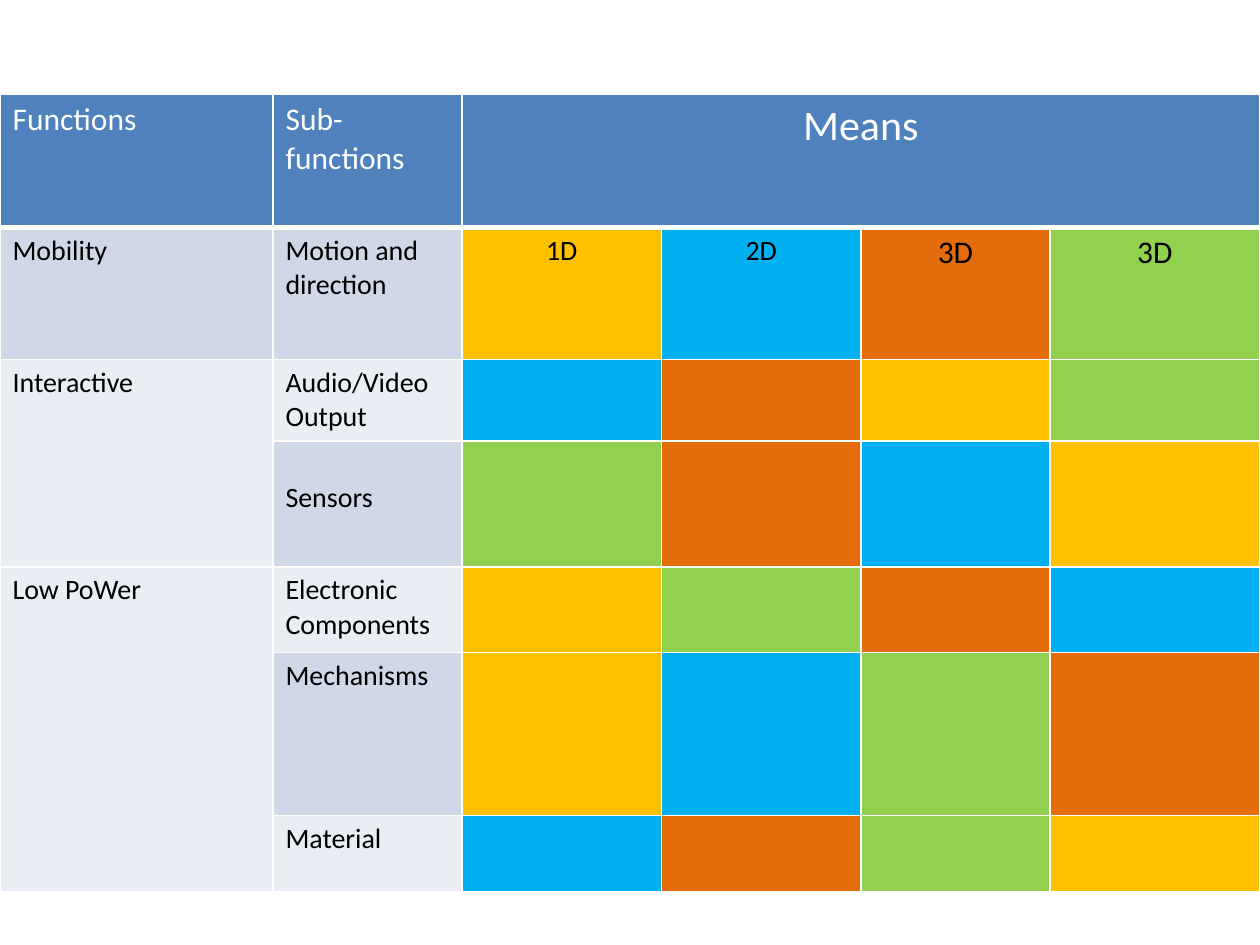
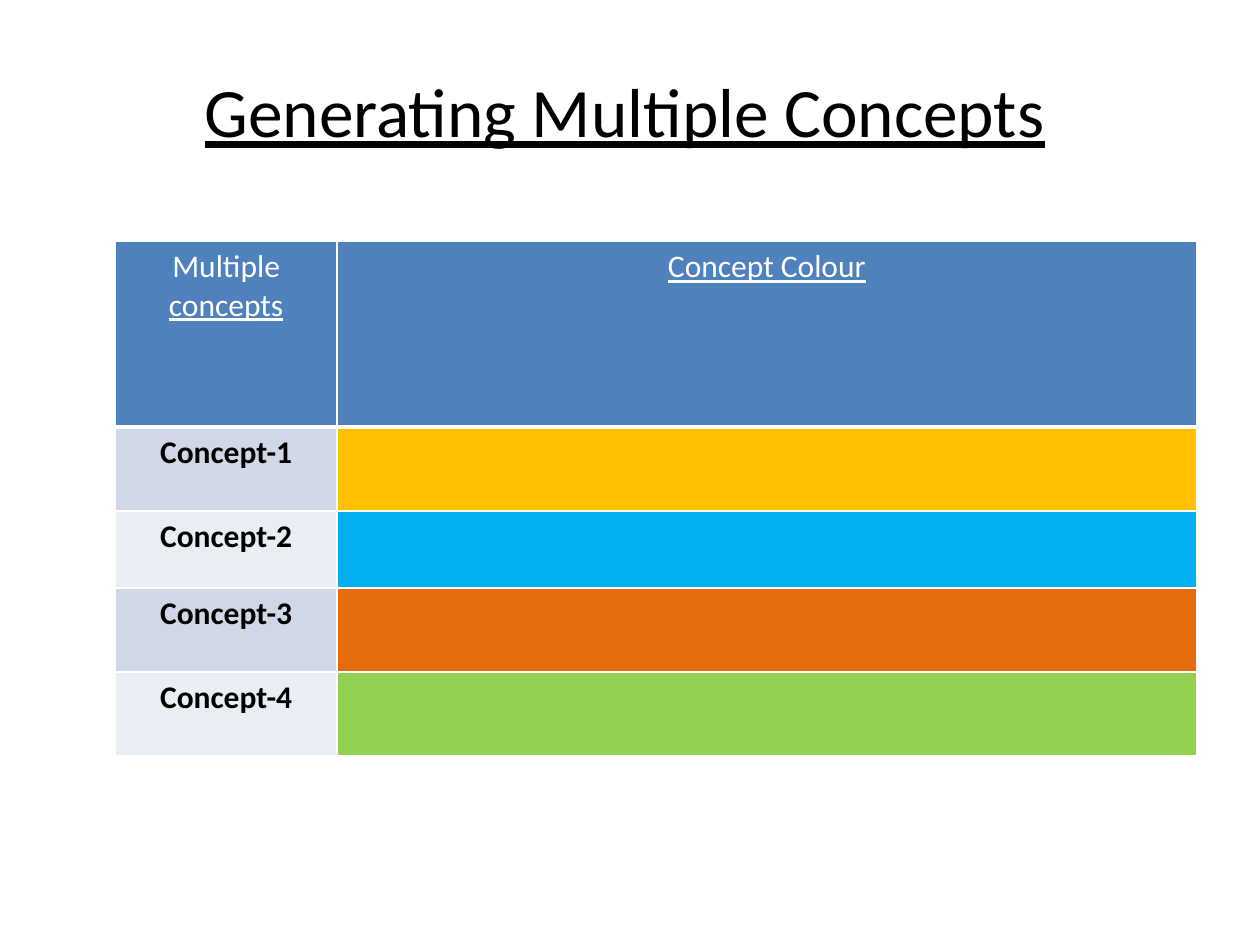
from lxml.etree import SubElement
from pptx import Presentation
from pptx.dml.color import RGBColor
from pptx.enum.text import MSO_ANCHOR, PP_ALIGN
from pptx.oxml.ns import qn
from pptx.util import Pt

FONT = "Calibri"
WHITE = RGBColor(0xFF, 0xFF, 0xFF)
BLACK = RGBColor(0x00, 0x00, 0x00)
HEADER = RGBColor(0x4F, 0x81, 0xBD)
BANDS = [RGBColor(0xE9, 0xED, 0xF4), RGBColor(0xD0, 0xD8, 0xE8)]
YELLOW = RGBColor(0xFF, 0xC0, 0x00)
BLUE = RGBColor(0x00, 0xB0, 0xF0)
ORANGE = RGBColor(0xE4, 0x6C, 0x0A)
GREEN = RGBColor(0x92, 0xD0, 0x50)
CONCEPT_COLOURS = [YELLOW, BLUE, ORANGE, GREEN]


def add_text(text_frame, text, size=18, colour=BLACK, bold=False,
             underline=False, align=PP_ALIGN.LEFT):
    paragraph = text_frame.paragraphs[0]
    paragraph.alignment = align
    run = paragraph.add_run()
    run.text = text
    run.font.name = FONT
    run.font.size = Pt(size)
    run.font.color.rgb = colour
    run.font.bold = bold
    run.font.underline = underline


def add_banded_table(slide, left, top, widths, heights):
    """Add a table with a blue header, banded rows and white borders."""
    shape = slide.shapes.add_table(len(heights), len(widths), Pt(left), Pt(top),
                                   Pt(sum(widths)), Pt(sum(heights)))
    table = shape.table
    for column, width in zip(table.columns, widths):
        column.width = Pt(width)
    for row_index, (row, height) in enumerate(zip(table.rows, heights)):
        row.height = Pt(height)
        for cell in row.cells:
            properties = cell._tc.get_or_add_tcPr()
            for side in ("lnL", "lnR", "lnT", "lnB"):
                weight = 3 if row_index == 0 and side == "lnB" else 1
                line = SubElement(properties, qn(f"a:{side}"), w=str(Pt(weight)))
                fill = SubElement(line, qn("a:solidFill"))
                SubElement(fill, qn("a:srgbClr"), val=str(WHITE))
            cell.fill.solid()
            cell.fill.fore_color.rgb = BANDS[row_index % 2] if row_index else HEADER
    return table


presentation = Presentation()
presentation.slide_width = Pt(720)
presentation.slide_height = Pt(540)

# Slide 1: functions and means
slide = presentation.slides.add_slide(presentation.slide_layouts[6])
table = add_banded_table(slide, 0, 54, [156, 108, 114, 114, 108, 120],
                         [76, 75.6, 41, 72, 49, 93, 43.6])
table.cell(0, 2).merge(table.cell(0, 5))
table.cell(2, 0).merge(table.cell(3, 0))
table.cell(4, 0).merge(table.cell(6, 0))

add_text(table.cell(0, 0).text_frame, "Functions", colour=WHITE)
add_text(table.cell(0, 1).text_frame, "Sub-functions", colour=WHITE)
add_text(table.cell(0, 2).text_frame, "Means", size=24, colour=WHITE,
         align=PP_ALIGN.CENTER)

for row_index, function in [(1, "Mobility"), (2, "Interactive"), (4, "Low PoWer")]:
    add_text(table.cell(row_index, 0).text_frame, function, size=16)

sub_functions = [
    ("Motion and direction", [YELLOW, BLUE, ORANGE, GREEN]),
    ("Audio/Video Output", [BLUE, ORANGE, YELLOW, GREEN]),
    ("Sensors", [GREEN, ORANGE, BLUE, YELLOW]),
    ("Electronic Components", [YELLOW, GREEN, ORANGE, BLUE]),
    ("Mechanisms", [YELLOW, BLUE, GREEN, ORANGE]),
    ("Material", [BLUE, ORANGE, GREEN, YELLOW]),
]
for row_index, (sub_function, colours) in enumerate(sub_functions, start=1):
    add_text(table.cell(row_index, 1).text_frame, sub_function, size=16)
    for column_index, colour in enumerate(colours, start=2):
        table.cell(row_index, column_index).fill.fore_color.rgb = colour
table.cell(3, 1).margin_top = Pt(23)

motion_means = [("1D", 16), ("2D", 16), ("3D", 18), ("3D", 18)]
for column_index, (means, size) in enumerate(motion_means, start=2):
    add_text(table.cell(1, column_index).text_frame, means, size=size,
             align=PP_ALIGN.CENTER)

# Slide 2: concept colours
slide = presentation.slides.add_slide(presentation.slide_layouts[5])
title = slide.shapes.title
title.left, title.top, title.width, title.height = Pt(102), Pt(30), Pt(510), Pt(66)
title.text_frame.vertical_anchor = MSO_ANCHOR.MIDDLE
add_text(title.text_frame, "Generating Multiple Concepts", size=39.6,
         underline=True, align=PP_ALIGN.CENTER)

table = add_banded_table(slide, 66, 138, [126.5, 491.5], [106, 48, 44, 48, 48])
concepts_header = table.cell(0, 0).text_frame
add_text(concepts_header, "Multiple ", colour=WHITE, align=PP_ALIGN.CENTER)
add_text(concepts_header, "concepts", colour=WHITE, underline=True,
         align=PP_ALIGN.CENTER)
add_text(table.cell(0, 1).text_frame, "Concept Colour", colour=WHITE,
         underline=True, align=PP_ALIGN.CENTER)
for number, colour in enumerate(CONCEPT_COLOURS, start=1):
    add_text(table.cell(number, 0).text_frame, f"Concept-{number}", bold=True,
             align=PP_ALIGN.CENTER)
    table.cell(number, 1).fill.fore_color.rgb = colour

presentation.save("out.pptx")
